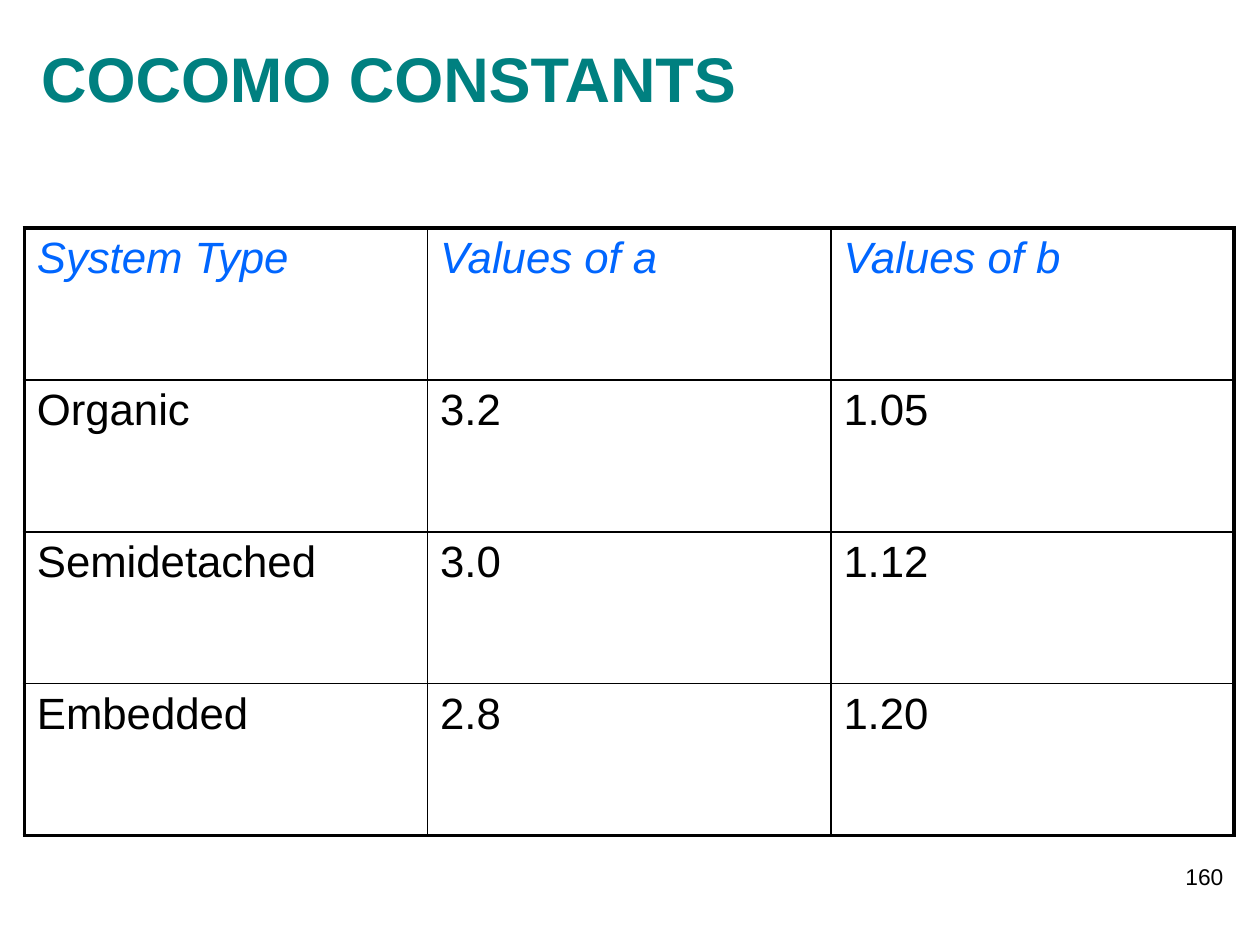
from lxml import etree
from pptx import Presentation
from pptx.dml.color import RGBColor
from pptx.enum.text import MSO_ANCHOR, PP_ALIGN
from pptx.oxml.ns import qn
from pptx.util import Cm, Pt

TEAL = RGBColor(0x00, 0x80, 0x80)
BLUE = RGBColor(0x00, 0x66, 0xFF)
BLACK = RGBColor(0x00, 0x00, 0x00)
LEFT, RIGHT = PP_ALIGN.LEFT, PP_ALIGN.RIGHT
TOP, MIDDLE = MSO_ANCHOR.TOP, MSO_ANCHOR.MIDDLE
THIN, THICK = Pt(1), Pt(2.25)

CONSTANTS = [
    ["System Type", "Values of a", "Values of b"],
    ["Organic", "3.2", "1.05"],
    ["Semidetached", "3.0", "1.12"],
    ["Embedded", "2.8", "1.20"],
]


def write(frame, text, size, color, bold=False, italic=False, align=LEFT, anchor=TOP):
    frame.word_wrap = True
    frame.vertical_anchor = anchor
    para = frame.paragraphs[0]
    para.alignment = align
    span = para.add_run()
    span.text = text
    span.font.name = "Arial"
    span.font.size = Pt(size)
    span.font.bold = bold
    span.font.italic = italic
    span.font.color.rgb = color


def add_border(cell, side, width):
    properties = cell._tc.get_or_add_tcPr()
    line = etree.SubElement(properties, qn(f"a:{side}"), w=str(width))
    fill = etree.SubElement(line, qn("a:solidFill"))
    etree.SubElement(fill, qn("a:srgbClr"), val=str(BLACK))


deck = Presentation()
deck.slide_width = Cm(25.4)
deck.slide_height = Cm(19.05)
page = deck.slides.add_slide(deck.slide_layouts[6])

title_box = page.shapes.add_textbox(Cm(0.58), Cm(0.38), Cm(20.4), Cm(2.36))
write(title_box.text_frame, "COCOMO CONSTANTS", size=36, color=TEAL, bold=True, anchor=MIDDLE)

row_count, column_count = len(CONSTANTS), len(CONSTANTS[0])
column_width, row_height = Cm(8.13), Cm(3.06)
table = page.shapes.add_table(
    row_count, column_count, Cm(0.49), Cm(4.6),
    column_width * column_count, row_height * row_count,
).table
table.horz_banding = False
for column in table.columns:
    column.width = column_width
for row in table.rows:
    row.height = row_height

for row_index, values in enumerate(CONSTANTS):
    is_header = row_index == 0
    for column_index, value in enumerate(values):
        cell = table.cell(row_index, column_index)
        write(cell.text_frame, value, size=25, color=BLUE if is_header else BLACK, italic=is_header)
        outer_sides = {
            "lnL": column_index == 0,
            "lnR": column_index == column_count - 1,
            "lnT": is_header,
            "lnB": row_index == row_count - 1,
        }
        for side, is_outer in outer_sides.items():
            add_border(cell, side, THICK if is_outer else THIN)
        cell.fill.background()

number_box = page.shapes.add_textbox(Cm(19.63), Cm(17.27), Cm(5.28), Cm(1.27))
write(number_box.text_frame, "160", size=13, color=BLACK, align=RIGHT)

deck.save("out.pptx")
